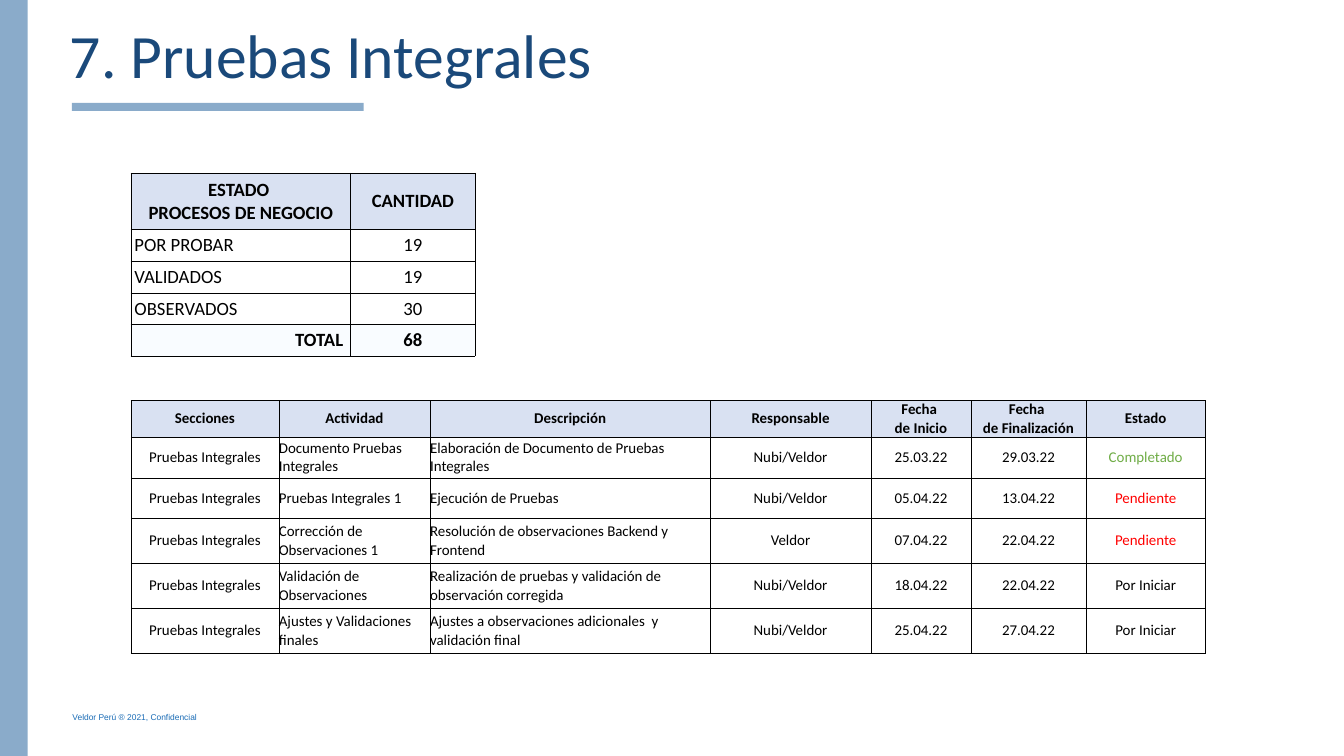
from lxml import etree
from pptx import Presentation
from pptx import util as u
from pptx.dml.color import RGBColor
from pptx.enum import shapes, text
from pptx.oxml.ns import qn

BLUE, NAVY, FOOTER_BLUE = "8AABCA", "1A497A", "1A6CB6"
HEADER, TOTAL, BLACK = "D9E1F2", "F9FCFF", "000000"
STATE_COLOURS = {"Completado": "70AD47", "Pendiente": "FF0000"}
LEFT, CENTER, RIGHT = text.PP_ALIGN.LEFT, text.PP_ALIGN.CENTER, text.PP_ALIGN.RIGHT

COUNTS = [
    ["ESTADO \nPROCESOS DE NEGOCIO", "CANTIDAD"],
    ["POR PROBAR", "19"],
    ["VALIDADOS", "19"],
    ["OBSERVADOS", "30"],
    ["TOTAL ", "68"],
]
# "\v" is a line break inside a paragraph
PLAN_HEADER = ["Secciones", "Actividad", "Descripción", "Responsable",
               "Fecha \vde Inicio", "Fecha \vde Finalización", "Estado"]
PLAN = [
    ["Documento Pruebas Integrales", "Elaboración de Documento de Pruebas Integrales",
     "Nubi/Veldor", "25.03.22", "29.03.22", "Completado"],
    ["Pruebas Integrales 1", "Ejecución de Pruebas",
     "Nubi/Veldor", "05.04.22", "13.04.22", "Pendiente"],
    ["Corrección de Observaciones 1", "Resolución de observaciones Backend y Frontend",
     "Veldor", "07.04.22", "22.04.22", "Pendiente"],
    ["Validación de Observaciones",
     "Realización de pruebas y validación de observación corregida",
     "Nubi/Veldor", "18.04.22", "22.04.22", "Por Iniciar"],
    ["Ajustes y Validaciones finales",
     "Ajustes a observaciones adicionales  y validación final",
     "Nubi/Veldor", "25.04.22", "27.04.22", "Por Iniciar"],
]


def colour(value):
    return RGBColor.from_string(value)


def set_all(target, values):
    for name, value in values.items():
        setattr(target, name, value)


def write(frame, words, size, hue, font="Calibri", bold=False, align=LEFT):
    frame.text = words
    for para in frame.paragraphs:
        para.alignment = align
        for span in para.runs:
            set_all(span.font, {"size": u.Pt(size), "name": font, "bold": bold})
            span.font.color.rgb = colour(hue)


def frame_format(frame, wrap, anchor):
    set_all(frame, {"word_wrap": wrap, "vertical_anchor": anchor,
                    "auto_size": text.MSO_AUTO_SIZE.NONE})


def add_bar(page, *place):
    bar = page.shapes.add_shape(shapes.MSO_SHAPE.RECTANGLE, *map(u.Inches, place))
    bar.shadow.inherit = False
    bar.fill.solid()
    bar.fill.fore_color.rgb = colour(BLUE)
    bar.line.fill.background()


def add_title(page, words):
    title = page.shapes.title
    set_all(title, {"left": u.Inches(0.94), "top": u.Inches(0.19),
                    "width": u.Inches(14.99), "height": u.Inches(1.21)})
    frame_format(title.text_frame, True, text.MSO_ANCHOR.MIDDLE)
    write(title.text_frame, words, 66, NAVY)


def add_footer(page, words):
    box = page.shapes.add_textbox(*map(u.Inches, (0.98, 10.55, 2.11, 0.25)))
    frame_format(box.text_frame, False, text.MSO_ANCHOR.TOP)
    write(box.text_frame, words, 9, FOOTER_BLUE, "Arial")


def add_borders(cell, points):
    properties = cell._tc.get_or_add_tcPr()
    for side in ("a:lnL", "a:lnR", "a:lnT", "a:lnB"):
        line = etree.SubElement(properties, qn(side), w=str(u.Pt(points)))
        fill = etree.SubElement(line, qn("a:solidFill"))
        etree.SubElement(fill, qn("a:srgbClr"), val=BLACK)


def add_grid(page, left, top, widths, heights, rows, size, border, inset, look):
    """look(row, column, words) gives fill, text colour, bold and alignment."""
    place = map(u.Inches, (left, top, sum(widths), sum(heights)))
    table = page.shapes.add_table(len(rows), len(widths), *place).table
    set_all(table, {"first_row": False, "horz_banding": False})
    for column, width in zip(table.columns, widths):
        column.width = u.Inches(width)
    for row, height in zip(table.rows, heights):
        row.height = u.Inches(height)
    for r, row in enumerate(rows):
        for c, words in enumerate(row):
            cell = table.cell(r, c)
            fill, hue, bold, align = look(r, c, words)
            set_all(cell, {"margin_left": u.Inches(inset), "margin_right": u.Inches(inset),
                           "margin_top": 0, "margin_bottom": 0,
                           "vertical_anchor": text.MSO_ANCHOR.MIDDLE})
            add_borders(cell, border)
            if fill:
                cell.fill.solid()
                cell.fill.fore_color.rgb = colour(fill)
            else:
                cell.fill.background()
            write(cell.text_frame, words, size, hue, bold=bold, align=align)


def plan_look(r, c, words):
    if r == 0:
        return HEADER, BLACK, True, CENTER
    align = LEFT if c in (1, 2) else CENTER
    return None, STATE_COLOURS.get(words, BLACK), False, align


def count_look(r, c, words):
    if r == 0:
        return HEADER, BLACK, True, CENTER
    is_total = r == len(COUNTS) - 1
    label_align = RIGHT if is_total else LEFT
    return TOTAL if is_total else None, BLACK, is_total, CENTER if c else label_align


def main():
    deck = Presentation()
    set_all(deck, {"slide_width": u.Inches(20), "slide_height": u.Inches(11.25)})
    page = deck.slides.add_slide(deck.slide_layouts[5])

    # Side band, title rule, footer and title
    add_bar(page, 1.07, 1.53, 4.34, 0.12)
    add_bar(page, -0.1, -0.06, 0.51, 11.4)
    add_footer(page, "Veldor Perú ® 2021, Confidencial")
    add_title(page, "7. Pruebas Integrales")

    # Test plan
    plan = [PLAN_HEADER] + [["Pruebas Integrales"] + row for row in PLAN]
    add_grid(page, 1.95, 5.96, [2.2, 2.25, 4.17, 2.39, 1.49, 1.71, 1.78],
             [0.46, 0.61, 0.6] + [0.67] * 3, plan, 16, 0.5, 0, plan_look)

    # Process counts by state
    add_grid(page, 1.95, 2.58, [3.27, 1.85], [0.84] + [0.47] * 4,
             COUNTS, 20, 1, 0.05, count_look)

    deck.save("out.pptx")


if __name__ == "__main__":
    main()
